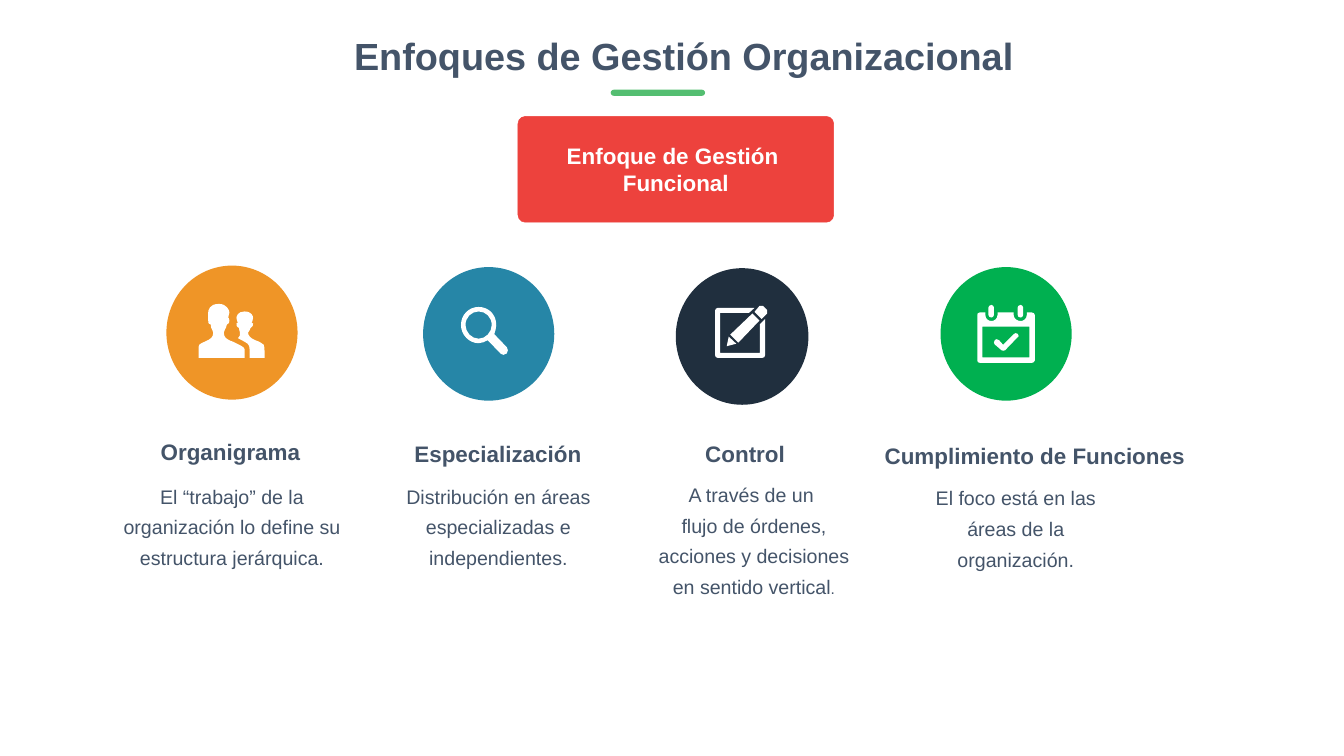
import lxml.etree
import pptx
import pptx.dml.color
import pptx.enum.shapes
import pptx.enum.text
import pptx.oxml.ns
import pptx.util

SLIDE_WIDTH = pptx.util.Inches(26.65)
SLIDE_HEIGHT = pptx.util.Inches(15)
SHAPES = pptx.enum.shapes.MSO_SHAPE
CENTER = pptx.enum.text.PP_ALIGN.CENTER
SLATE, WHITE, RED, GREEN = "445469", "FFFFFF", "ED423D", "54BE71"

# Font formats by role
TITLE = {"name": "Arial", "size": pptx.util.Pt(54), "bold": True}
HEADING = {"name": "Arial", "size": pptx.util.Pt(32), "bold": True}
BODY = {"name": "Arial", "size": pptx.util.Pt(28), "bold": False}
FINAL_STOP = {"name": "Arial", "size": pptx.util.Pt(22), "bold": False}

# Icon outlines in hundredths of an inch: M move, L line, C cubic curve, Z close
PEOPLE = """
M 131 107 C 131 107 131 83 129 81 C 126 79 122 75 112 72 C 103 68 98 63 98 57
C 98 52 103 55 103 48 C 103 44 108 48 108 39 C 108 37 105 37 105 37
C 105 37 108 33 108 28 C 108 24 105 15 91 15 C 78 15 75 24 75 28
C 75 33 78 37 78 37 C 78 37 75 37 75 39 C 75 48 78 44 80 48
C 80 55 82 52 82 57 C 82 61 82 66 78 68 C 98 79 101 79 101 90 L 101 107 Z
M 68 75 C 54 70 50 66 50 57 C 50 50 54 52 56 41 C 56 39 61 41 61 33
C 61 28 59 28 59 28 C 59 28 59 22 61 17 C 61 13 56 0 40 0 C 21 0 19 13 19 17
C 19 22 19 28 19 28 C 19 28 19 28 19 33 C 19 41 21 39 24 41
C 24 52 29 50 29 57 C 29 66 24 70 12 75 C 8 77 0 79 0 85 L 0 107 L 91 107
L 91 90 C 91 85 80 81 68 75 Z"""
MAGNIFIER = """
M 91 80 C 92 82 93 84 93 86 C 93 91 90 95 84 95 C 82 95 80 94 79 93 L 53 66
C 47 69 42 72 35 72 C 16 72 0 55 0 36 C 0 15 16 0 35 0 C 55 0 70 15 70 36
C 70 42 68 48 66 54 Z
M 35 9 C 21 9 9 20 9 36 C 9 50 21 63 35 63 C 49 63 61 50 61 36
C 61 20 49 9 35 9 Z"""
PENCIL = """
M 103 16 L 92 27 L 78 13 L 88 1 C 90 0 93 0 95 1 L 103 9 C 104 11 104 14 103 16 Z
M 27 62 L 42 76 L 23 81 Z M 88 30 L 46 74 L 30 58 L 74 16 Z
M 10 15 L 10 94 L 89 94 L 89 37 L 99 27 L 99 99 C 99 102 97 104 94 104 L 5 104
C 2 104 0 102 0 99 L 0 10 C 0 8 2 5 5 5 L 78 5 L 67 15 Z"""
CALENDAR = """
M 108 115 L 5 115 C 1 115 0 113 0 110 L 0 20 C 0 17 1 15 5 15 L 16 15 L 16 20
C 16 27 21 32 28 32 C 34 32 40 27 40 20 L 40 15 L 72 15 L 72 20
C 72 27 79 32 86 32 C 92 32 98 27 98 20 L 98 15 L 108 15
C 111 15 114 17 114 20 L 114 110 C 114 113 111 115 108 115 Z
M 103 43 L 10 43 L 10 104 L 103 104 Z
M 38 68 C 40 68 41 68 43 70 L 51 79 L 72 58 C 73 56 75 56 76 56
C 79 56 82 58 82 62 C 82 63 82 64 80 64 L 55 90 C 53 91 52 91 51 91
C 49 91 48 91 48 90 L 34 78 C 33 76 33 75 33 74 C 33 71 36 68 38 68 Z
M 86 25 C 82 25 80 23 80 20 L 80 5 C 80 3 82 0 86 0 C 88 0 91 3 91 5 L 91 20
C 91 23 88 25 86 25 Z
M 28 25 C 25 25 22 23 22 20 L 22 5 C 22 3 25 0 28 0 C 30 0 33 3 33 5 L 33 20
C 33 23 30 25 28 25 Z"""

# Each focus: boxes are left, top, width, height in percent of the slide
FOCUSES = [
    {"color": "EF9527", "circle": (12.38, 35.13, 9.76, 17.73),
     "icon": PEOPLE, "icon_at": (14.78, 40.2),
     "heading": "Organigrama", "heading_box": (11.22, 56.27, 11.86, 6),
     "body": [[("El “trabajo” de la organización lo define su estructura jerárquica.", BODY)]],
     "body_box": (7.35, 62.53, 19.81, 13.6)},
    {"color": "2686A7", "circle": (31.48, 35.33, 9.76, 17.67),
     "icon": MAGNIFIER, "icon_at": (34.3, 40.6),
     "heading": "Especialización", "heading_box": (30.02, 56.53, 14.07, 6),
     "body": [[("Distribución en áreas especializadas e independientes.", BODY)]],
     "body_box": (29.12, 62.53, 15.91, 13.6)},
    {"color": "202F3E", "circle": (50.28, 35.47, 9.87, 18.07),
     "icon": PENCIL, "icon_at": (53.21, 40.4),
     "heading": "Control", "heading_box": (50.62, 56.47, 9.64, 6),
     "body": [[("A través de un ", BODY)],
              [("flujo de órdenes, acciones y decisiones en sentido vertical", BODY),
               (".", FINAL_STOP)]],
     "body_box": (48.14, 62.27, 15.91, 17.67)},
    {"color": "00B050", "circle": (69.98, 35.33, 9.76, 17.67),
     "icon": CALENDAR, "icon_at": (72.72, 40.33),
     "heading": "Cumplimiento de Funciones", "heading_box": (64.09, 56.73, 25.82, 6),
     "body": [[("El foco está en las áreas de la organización.", BODY)]],
     "body_box": (67.62, 62.73, 15.91, 13.6)},
]


def rgb(color):
    return pptx.dml.color.RGBColor.from_string(color)


def place(shares):
    """Turn alternating width and height percentages into lengths."""
    return [round(share * (SLIDE_HEIGHT if i % 2 else SLIDE_WIDTH) / 100)
            for i, share in enumerate(shares)]


def paint(shape, color):
    shape.shadow.inherit = False
    shape.fill.solid()
    shape.fill.fore_color.rgb = rgb(color)
    shape.line.fill.background()


def write(frame, paragraphs, color, spacing=None, inset=0.1):
    frame.word_wrap = True
    for side in ("left", "top", "right", "bottom"):
        setattr(frame, f"margin_{side}", pptx.util.Inches(inset))
    for i, runs in enumerate(paragraphs):
        paragraph = frame.add_paragraph() if i else frame.paragraphs[0]
        paragraph.alignment = CENTER
        paragraph.line_spacing = spacing
        for words, font_format in runs:
            run = paragraph.add_run()
            run.text = words
            run.font.color.rgb = rgb(color)
            for attribute, value in font_format.items():
                setattr(run.font, attribute, value)


def add_label(slide, box, paragraphs, spacing=1.3, inset=0.1):
    frame = slide.shapes.add_textbox(*place(box)).text_frame
    write(frame, paragraphs, SLATE, spacing, inset)
    frame.auto_size = pptx.enum.text.MSO_AUTO_SIZE.SHAPE_TO_FIT_TEXT


def add_block(slide, kind, box, color, rounding=None):
    block = slide.shapes.add_shape(kind, *place(box))
    paint(block, color)
    if rounding is not None:
        block.adjustments[0] = rounding
    return block


def bend(icon, commands):
    """Join the three lines drawn for each C command into one cubic curve."""
    qn = pptx.oxml.ns.qn
    lines = iter(list(icon._element.iter(qn("a:lnTo"))))
    for command in commands:
        if command == "L":
            next(lines)
        elif command == "C":
            first, second, end = next(lines), next(lines), next(lines)
            curve = lxml.etree.Element(qn("a:cubicBezTo"))
            first.addprevious(curve)
            for line in (first, second, end):
                curve.append(line[0])
                line.getparent().remove(line)


def add_icon(slide, outline, position):
    contours = []
    for contour in outline.split("Z")[:-1]:
        values = [int(word) for word in contour.split() if word.isdigit()]
        contours.append(list(zip(values[::2], values[1::2])))
    builder = slide.shapes.build_freeform(*contours[0][0], scale=9144)
    for i, points in enumerate(contours):
        if i:
            builder.move_to(*points[0])
        builder.add_line_segments(points[1:], close=True)
    icon = builder.convert_to_shape(*place(position))
    bend(icon, [word for word in outline.split() if word in ("L", "C")])
    paint(icon, WHITE)


def add_focus(slide, focus):
    add_block(slide, SHAPES.OVAL, focus["circle"], focus["color"])
    add_icon(slide, focus["icon"], focus["icon_at"])
    add_label(slide, focus["heading_box"], [[(focus["heading"], HEADING)]])
    add_label(slide, focus["body_box"], focus["body"])


def main():
    deck = pptx.Presentation()
    deck.slide_width, deck.slide_height = SLIDE_WIDTH, SLIDE_HEIGHT
    slide = deck.slides.add_slide(deck.slide_layouts[6])

    # Title and its underline
    add_label(slide, (25.1, 4.67, 51.59, 6.13),
              [[("Enfoques de Gestión Organizacional", TITLE)]], 0.9, 0.05)
    add_block(slide, SHAPES.ROUNDED_RECTANGLE, (45.44, 11.87, 7.02, 0.8), GREEN, 0.5)

    # Main approach
    approach = add_block(slide, SHAPES.ROUNDED_RECTANGLE, (38.54, 15.4, 23.49, 14), RED, 0.07)
    approach.line.color.rgb = rgb(RED)
    approach.line.width = pptx.util.Pt(0.75)
    approach.text_frame.vertical_anchor = pptx.enum.text.MSO_ANCHOR.MIDDLE
    write(approach.text_frame,
          [[("Enfoque de Gestión ", HEADING)], [("Funcional", HEADING)]], WHITE)

    # The four focuses
    for focus in FOCUSES:
        add_focus(slide, focus)

    deck.save("out.pptx")


if __name__ == "__main__":
    main()
